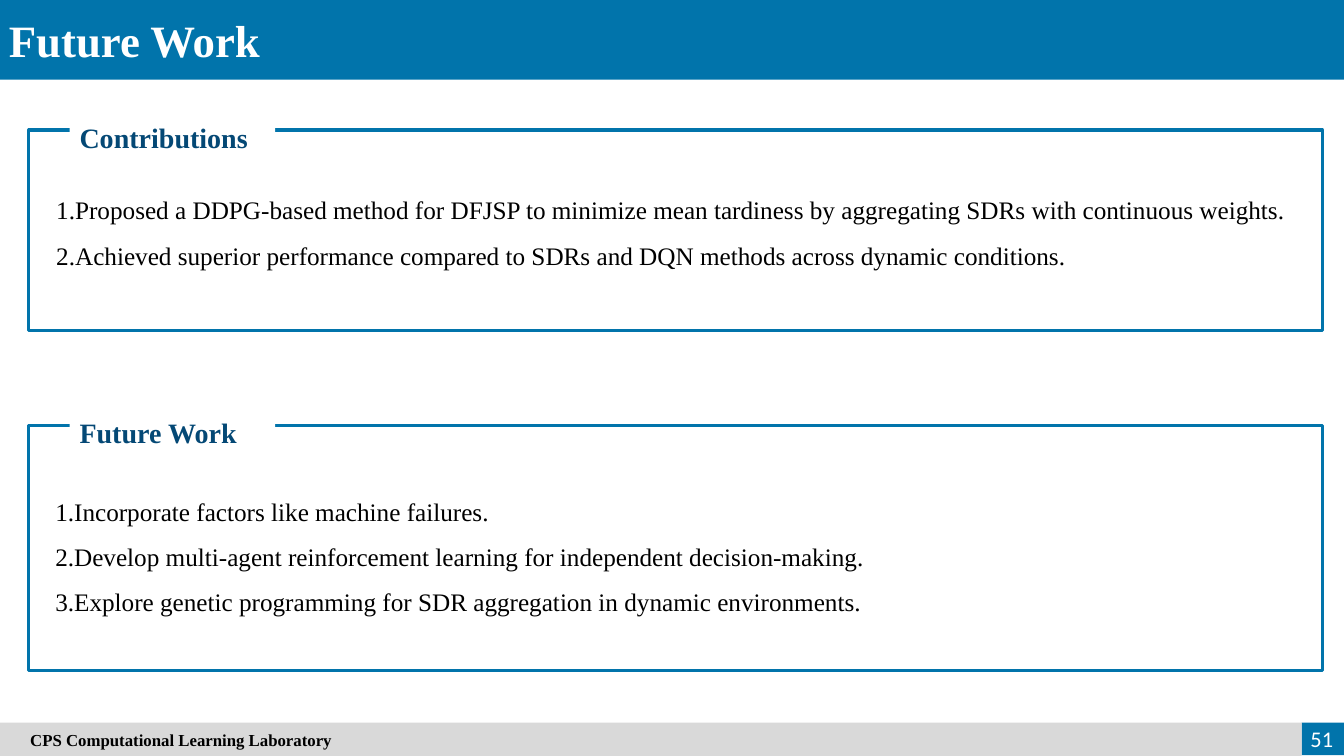
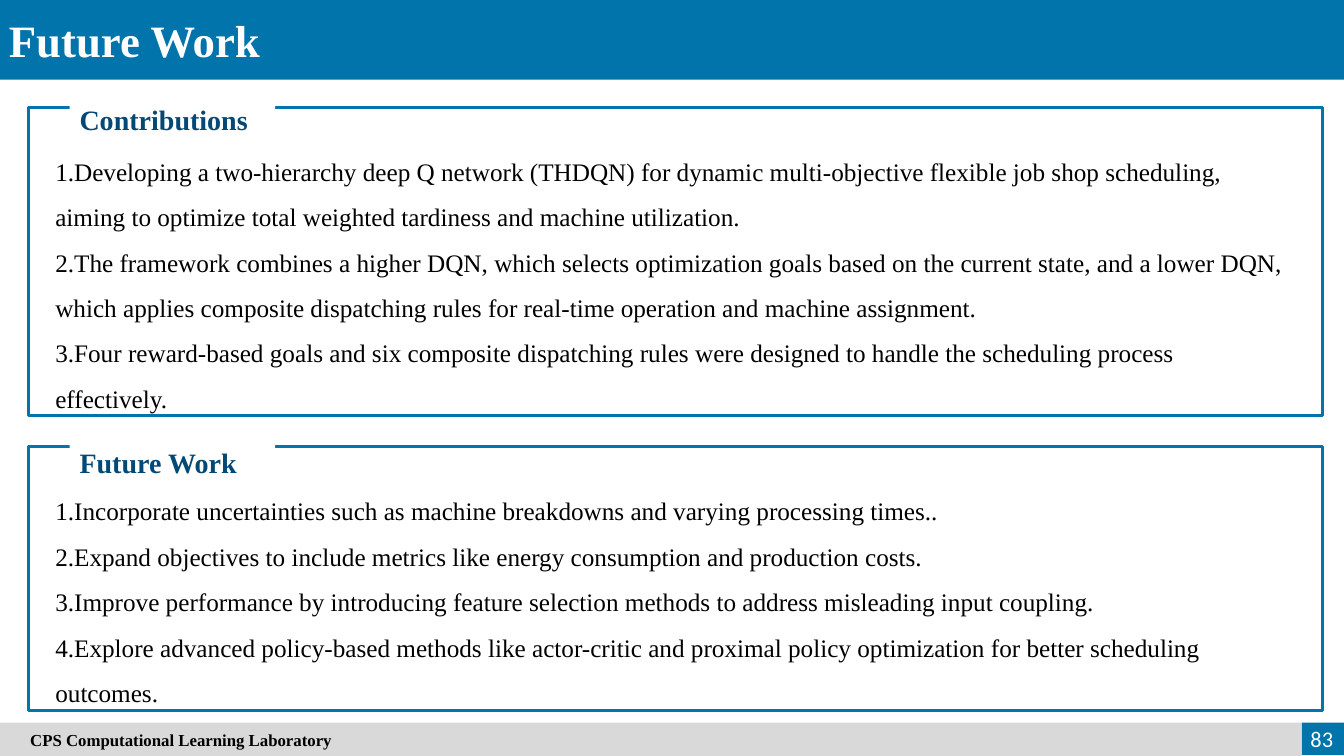
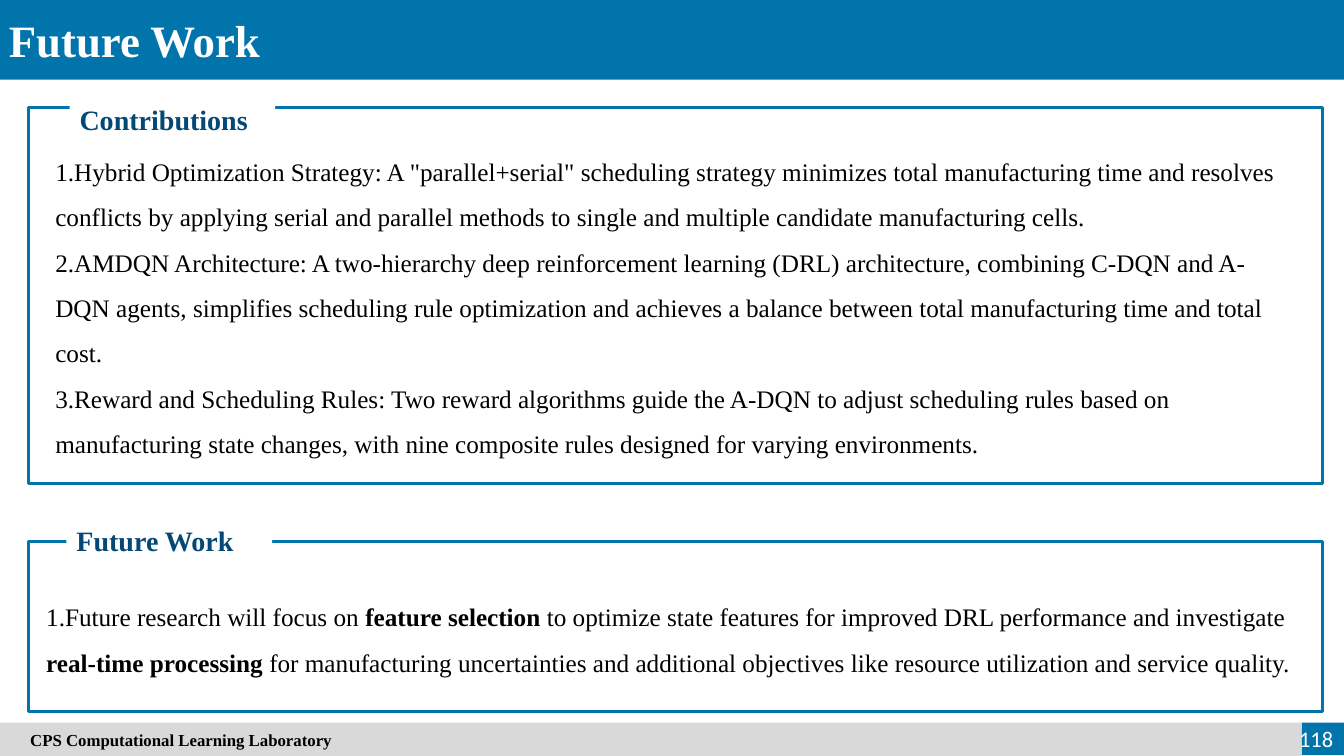
from pptx import Presentation
from pptx.dml.color import RGBColor
from pptx.enum.shapes import MSO_SHAPE
from pptx.enum.text import MSO_ANCHOR, MSO_AUTO_SIZE, PP_ALIGN
from pptx.util import Inches, Pt
from lxml import etree
from pptx.oxml.ns import qn

RECTANGLE = MSO_SHAPE.RECTANGLE
TOP, MIDDLE = MSO_ANCHOR.TOP, MSO_ANCHOR.MIDDLE
LEFT, RIGHT, JUSTIFY = PP_ALIGN.LEFT, PP_ALIGN.RIGHT, PP_ALIGN.JUSTIFY
GROW = MSO_AUTO_SIZE.SHAPE_TO_FIT_TEXT

BLUE = RGBColor(0x01, 0x74, 0xAB)
NAVY = RGBColor(0x04, 0x48, 0x75)
GREY = RGBColor(0xD9, 0xD9, 0xD9)
WHITE = RGBColor(0xFF, 0xFF, 0xFF)
BLACK = RGBColor(0x00, 0x00, 0x00)

SERIF, SANS = "Times New Roman", "Calibri"
BLANK_LAYOUT = 6

# All lengths are percentages of the slide's width or height
FOOTER_TOP, FOOTER_HEIGHT = 95.6, 4.4
PAGE_LEFT = 96.85
FRAME_LEFT, FRAME_WIDTH = 2.15, 96.25
LABEL_WIDTH, LABEL_HEIGHT = 15.3, 7.47
LINE_HEIGHT, BODY_MARGIN = 6.05, 0.7


def write(shape, paragraphs, *, size, color=BLACK, font=SERIF, bold=False,
          align=LEFT, anchor=TOP, spacing=None, numbered=False):
    """Fill a shape with text; words between ** marks are bold."""
    frame = shape.text_frame
    frame.word_wrap = True
    frame.vertical_anchor = anchor
    for index, text in enumerate(paragraphs):
        paragraph = frame.add_paragraph() if index else frame.paragraphs[0]
        paragraph.alignment = align
        if spacing:
            paragraph.line_spacing = spacing
        if numbered:
            properties = paragraph._p.get_or_add_pPr()
            etree.SubElement(properties, qn("a:buAutoNum"), type="arabicPeriod")
        for part, words in enumerate(text.split("**")):
            run = paragraph.add_run()
            run.text = words
            run.font.size = Pt(size)
            run.font.name = font
            run.font.color.rgb = color
            run.font.bold = bold or part % 2 == 1


class Deck:
    """Holds the presentation, its style and the current slide."""

    def __init__(self):
        self.presentation = Presentation()
        self.presentation.slide_width = Inches(13.33)
        self.presentation.slide_height = Inches(7.5)
        self.slide = None

    def place(self, left, top, width, height):
        across = self.presentation.slide_width / 100
        down = self.presentation.slide_height / 100
        return (int(left * across), int(top * down),
                int(width * across), int(height * down))

    def box(self, *area, fill=None, line=None):
        shape = self.slide.shapes.add_shape(RECTANGLE, *self.place(*area))
        shape.shadow.inherit = False
        if fill is None:
            shape.fill.background()
        else:
            shape.fill.solid()
            shape.fill.fore_color.rgb = fill
        if line is None:
            shape.line.fill.background()
        else:
            shape.line.color.rgb = line
            shape.line.width = Pt(2.25)
        return shape

    def text(self, paragraphs, *area, **style):
        shape = self.slide.shapes.add_textbox(*self.place(*area))
        write(shape, paragraphs, **style)
        return shape

    def new_slide(self, title, page):
        layout = self.presentation.slide_layouts[BLANK_LAYOUT]
        self.slide = self.presentation.slides.add_slide(layout)
        # Title band
        self.box(0, 0, 100, 10.53, fill=BLUE)
        self.text([title], -0.08, 1.07, 40.3, 8.53, size=32, color=WHITE,
                  bold=True, align=JUSTIFY)
        # Footer band and page number
        self.box(PAGE_LEFT, FOOTER_TOP, 100 - PAGE_LEFT, 4.3, fill=BLUE)
        footer = self.box(0, FOOTER_TOP, PAGE_LEFT, FOOTER_HEIGHT, fill=GREY)
        footer.text_frame.margin_left = Inches(0.3)
        write(footer, ["CPS Computational Learning Laboratory"], size=12,
              bold=True, anchor=MIDDLE)
        self.text([str(page)], 95.2, 95.07, 4.73, 5.33, size=16, color=WHITE,
                  font=SANS, align=RIGHT, anchor=MIDDLE)

    def section(self, label, items, *, top, height, label_top, body_top, lines,
                label_left=5.18, body_left=3.38, body_width=93.17):
        """Draw a frame with a label set into its top edge and a numbered list."""
        self.box(FRAME_LEFT, top, FRAME_WIDTH, height, line=BLUE)
        tag = self.box(label_left, label_top, LABEL_WIDTH, LABEL_HEIGHT, fill=WHITE)
        write(tag, [label], size=20, color=NAVY, bold=True, anchor=MIDDLE,
              spacing=1.5)
        body = self.text(items, body_left, body_top, body_width,
                         lines * LINE_HEIGHT + BODY_MARGIN, size=18,
                         spacing=1.5, numbered=True)
        body.text_frame.auto_size = GROW

    def save(self):
        self.presentation.save("out.pptx")


def main():
    deck = Deck()

    # Aggregated dispatching rules
    deck.new_slide("Future Work", 51)
    deck.section("Contributions", [
        "Proposed a DDPG-based method for DFJSP to minimize mean tardiness by "
        "aggregating SDRs with continuous weights.",
        "Achieved superior performance compared to SDRs and DQN methods across "
        "dynamic conditions.",
    ], top=17.2, height=26.53, label_top=13.33, body_top=23.07, lines=2,
        body_left=3.45)
    deck.section("Future Work", [
        "Incorporate factors like machine failures.",
        "Develop multi-agent reinforcement learning for independent "
        "decision-making.",
        "Explore genetic programming for SDR aggregation in dynamic "
        "environments.",
    ], top=56.27, height=32.4, label_top=52.4, body_top=62.93, lines=3)

    # Two-hierarchy network
    deck.new_slide("Future Work", 83)
    deck.section("Contributions", [
        "Developing a two-hierarchy deep Q network (THDQN) for dynamic "
        "multi-objective flexible job shop scheduling, aiming to optimize total "
        "weighted tardiness and machine utilization.",
        "The framework combines a higher DQN, which selects optimization goals "
        "based on the current state, and a lower DQN, which applies composite "
        "dispatching rules for real-time operation and machine assignment.",
        "Four reward-based goals and six composite dispatching rules were "
        "designed to handle the scheduling process effectively.",
    ], top=14.27, height=40.67, label_top=10.93, body_top=18, lines=6)
    deck.section("Future Work", [
        "Incorporate uncertainties such as machine breakdowns and varying "
        "processing times..",
        "Expand objectives to include metrics like energy consumption and "
        "production costs.",
        "Improve performance by introducing feature selection methods to "
        "address misleading input coupling.",
        "Explore advanced policy-based methods like actor-critic and proximal "
        "policy optimization for better scheduling outcomes.",
    ], top=59.07, height=34.93, label_top=56.27, body_top=62.93, lines=5,
        body_width=94.52)

    # Hybrid optimization
    deck.new_slide("Future Work", 118)
    deck.section("Contributions", [
        'Hybrid Optimization Strategy: A "parallel+serial" scheduling strategy '
        "minimizes total manufacturing time and resolves conflicts by applying "
        "serial and parallel methods to single and multiple candidate "
        "manufacturing cells.",
        "AMDQN Architecture: A two-hierarchy deep reinforcement learning (DRL) "
        "architecture, combining C-DQN and A-DQN agents, simplifies scheduling "
        "rule optimization and achieves a balance between total manufacturing "
        "time and total cost.",
        "Reward and Scheduling Rules: Two reward algorithms guide the A-DQN to "
        "adjust scheduling rules based on manufacturing state changes, with nine "
        "composite rules designed for varying environments.",
    ], top=14.27, height=49.73, label_top=10.93, body_top=18, lines=7)
    deck.section("Future Work", [
        "Future research will focus on **feature selection** to optimize state "
        "features for improved DRL performance and investigate **real-time "
        "processing** for manufacturing uncertainties and additional objectives "
        "like resource utilization and service quality.",
    ], top=71.6, height=22.53, label_top=66.67, body_top=76.93, lines=2,
        label_left=4.95, body_left=2.7, body_width=94.52)

    deck.save()


if __name__ == "__main__":
    main()
